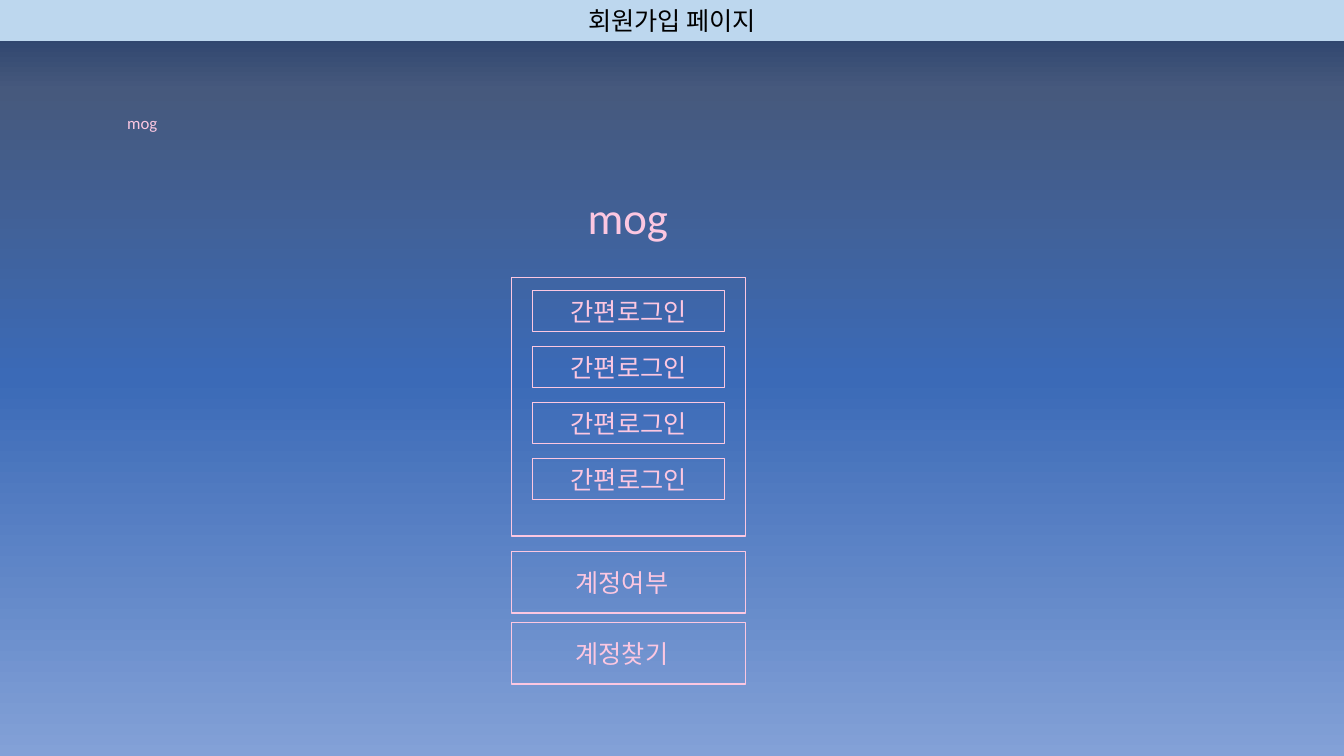
"""Build the sign-up page slide with its login and account boxes."""
import pptx
import pptx.dml.color
import pptx.enum.shapes
import pptx.enum.text
import pptx.oxml
import pptx.oxml.ns
import pptx.util

Cm = pptx.util.Cm
Pt = pptx.util.Pt
RGB = pptx.dml.color.RGBColor.from_string
qn = pptx.oxml.ns.qn
RECT = pptx.enum.shapes.MSO_SHAPE.RECTANGLE

theme = {
    "pink": "FCC7E1", "bar": "BDD7EE", "ink": "000000",
    "sky": [(0, "203864"), (12, "46597D"), (50, "3B6AB7"), (100, "83A1D7")],
    "latin": "Calibri", "hangul": "Noto Sans CJK KR",
    "small": 12, "body": 18, "logo": 32,
}


def write(shape, text, size, face, color):
    frame = shape.text_frame
    frame.word_wrap = True
    frame.auto_size = pptx.enum.text.MSO_AUTO_SIZE.NONE
    frame.vertical_anchor = pptx.enum.text.MSO_ANCHOR.MIDDLE
    frame.margin_top = frame.margin_bottom = Cm(0.13)
    frame.text = text
    para = frame.paragraphs[0]
    para.alignment = pptx.enum.text.PP_ALIGN.CENTER
    para.font.size = Pt(theme[size])
    para.font.name = theme[face]
    para.font.color.rgb = RGB(theme[color])
    latin = para._p.find(".//" + qn("a:latin"))
    east = pptx.oxml.parse_xml(
        f'<a:ea {pptx.oxml.ns.nsdecls("a")} typeface="{theme["hangul"]}"/>')
    latin.addnext(east)


def frame_box(left, top, width, height, line):
    box = slide.shapes.add_shape(RECT, Cm(left), Cm(top), Cm(width), Cm(height))
    box.shadow.inherit = False
    box.fill.background()
    box.line.color.rgb = RGB(theme["pink"])
    box.line.width = Pt(line)
    return box


deck = pptx.Presentation()
deck.slide_width, deck.slide_height = Cm(33.87), Cm(19.05)
slide = deck.slides.add_slide(deck.slide_layouts[5])

sky = slide.shapes.add_shape(RECT, 0, 0, deck.slide_width, deck.slide_height)
sky.shadow.inherit = False
sky.line.fill.background()
sky.fill.gradient()
sky.fill.gradient_angle = 270
stops = sky._element.find(".//" + qn("a:gsLst"))
for stop in list(stops):
    stops.remove(stop)
for spot, color in theme["sky"]:
    stops.append(pptx.oxml.parse_xml(
        f'<a:gs {pptx.oxml.ns.nsdecls("a")} pos="{spot * 1000}">'
        f'<a:srgbClr val="{color}"/></a:gs>'))
slide.shapes._spTree.insert(2, sky._element)

title = slide.shapes.title
title.left, title.top = 0, 0
title.width, title.height = deck.slide_width, Cm(1.03)
title.fill.solid()
title.fill.fore_color.rgb = RGB(theme["bar"])
write(title, "회원가입 페이지", "body", "hangul", "ink")

for left, top, width, height, size in [
        (2.72, 2.7, 1.73, 0.77, "small"), (14.45, 4.64, 2.75, 1.62, "logo")]:
    logo = slide.shapes.add_textbox(Cm(left), Cm(top), Cm(width), Cm(height))
    write(logo, "mog", size, "latin", "pink")

frame_box(12.89, 6.99, 5.9, 6.52, 1)
for row in range(4):
    login = frame_box(13.42, 7.33 + 1.41 * row, 4.85, 1.03, 0.75)
    write(login, "간편로그인", "body", "hangul", "pink")

for row, text in enumerate(["계정여부", "계정찾기"]):
    top = 13.9 + 1.79 * row
    frame_box(12.89, top, 5.9, 1.55, 1)
    label = slide.shapes.add_textbox(Cm(13.25), Cm(top + 0.27), Cm(4.85), Cm(1.03))
    write(label, text, "body", "hangul", "pink")

deck.save("out.pptx")
